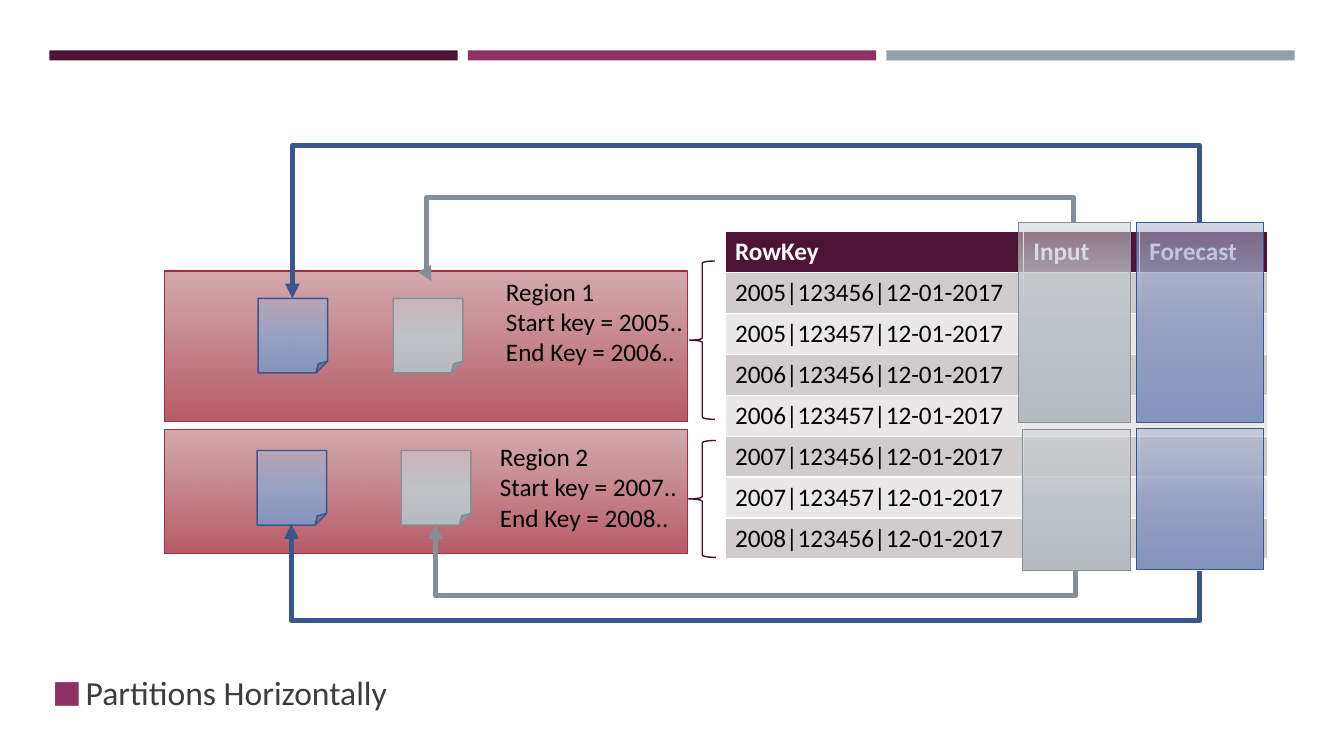
from lxml import etree
from pptx import Presentation
from pptx.dml.color import RGBColor
from pptx.enum.shapes import MSO_CONNECTOR, MSO_SHAPE
from pptx.enum.text import MSO_ANCHOR, MSO_AUTO_SIZE
from pptx.oxml import parse_xml
from pptx.oxml.ns import nsdecls, qn
from pptx.util import Inches, Pt

RECT, BRACE, PAGE = MSO_SHAPE.RECTANGLE, MSO_SHAPE.LEFT_BRACE, MSO_SHAPE.FOLDED_CORNER
ELBOW = MSO_CONNECTOR.ELBOW
TOP, NO_FIT = MSO_ANCHOR.TOP, MSO_AUTO_SIZE.NONE

FONT = "Calibri"
PLUM, MAGENTA, SILVER = "4D1434", "903163", "969FA7"
BANDS = ["D0CCCE", "E9E7E8"]
BULLET_TEXT = "Partitions Horizontally"

HEADERS = ["RowKey", "Input", "Forecast"]
ROW_KEYS = [
    "2005|123456|12-01-2017", "2005|123457|12-01-2017",
    "2006|123456|12-01-2017", "2006|123457|12-01-2017",
    "2007|123456|12-01-2017", "2007|123457|12-01-2017",
    "2008|123456|12-01-2017",
]
COLUMN_WIDTHS = [2.96, 1.15, 1.27]
TABLE_LEFT, TABLE_TOP, ROW_HEIGHT = 7.19, 2.3, 0.405

# gradient stops are (position %, colour, opacity %)
RED = {"line": "A02D44", "stops": [(0, "CF9FA4", 90), (100, "B75C68", 100)]}
GREY = {"line": "858F99",
        "stops": [(0, "CACED2", 50), (50, "BFC4C8", 100), (100, "B6BCC2", 100)]}
BLUE = {"line": "3A578D",
        "stops": [(0, "A4AFCE", 50), (50, "98A3C4", 100), (100, "8594BE", 100)]}

PAGE_SIZE = (0.69, 0.74)
REGIONS = [
    {"lines": ["Region 1", "Start key = 2005..", "End Key = 2006.."],
     "label": (4.92, 2.69), "box": (1.63, 2.69, 5.19, 1.49),
     "brace": (6.84, 2.59, 0.25, 1.57),
     "pages": [((2.56, 2.96), BLUE), ((3.9, 2.96), GREY)],
     "columns": [((10.1, 2.21, 1.11, 1.98), GREY), ((11.27, 2.21, 1.26, 1.98), BLUE)]},
    {"lines": ["Region 2", "Start key = 2007..", "End Key = 2008.."],
     "label": (4.86, 4.33), "box": (1.63, 4.26, 5.19, 1.23),
     "brace": (6.83, 4.37, 0.27, 1.16),
     "pages": [((2.55, 4.47), BLUE), ((3.98, 4.47), GREY)],
     "columns": [((10.14, 4.26, 1.07, 1.4), GREY), ((11.27, 4.25, 1.26, 1.4), BLUE)]},
]
# start, end, height of the long run, x of the last drop (None: at the end), colours
ROUTES = [
    ((10.65, 2.21), (4.28, 2.79), 1.96, 4.23, GREY),
    ((11.9, 2.21), (2.9, 2.96), 1.44, None, BLUE),
    ((10.67, 5.66), (4.32, 5.2), 5.91, None, GREY),
    ((11.9, 5.66), (2.89, 5.2), 6.16, None, BLUE),
]


def rgb(code):
    return RGBColor.from_string(code)


def add_run(p, text, size, color, bold=False):
    r = p.add_run()
    r.text = text
    r.font.name, r.font.size, r.font.bold = FONT, Pt(size), bold
    r.font.color.rgb = rgb(color)


def add_box(kind, box, line=None, fill=None):
    sp = slide.shapes.add_shape(kind, *map(Inches, box))
    sp.shadow.inherit = False
    if fill:
        sp.fill.solid()
        sp.fill.fore_color.rgb = rgb(fill)
    else:
        sp.fill.background()
    if line:
        sp.line.color.rgb, sp.line.width = rgb(line), Pt(1)
    else:
        sp.line.fill.background()
    return sp


def add_gradient_box(kind, box, style):
    """Shape shaded from top to bottom with partly transparent stops."""
    sp = add_box(kind, box, style["line"])
    stops = "".join(
        f'<a:gs pos="{pos * 1000}"><a:srgbClr val="{color}">'
        f'<a:alpha val="{opacity * 1000}"/></a:srgbClr></a:gs>'
        for pos, color, opacity in style["stops"])
    grad = parse_xml(f'<a:gradFill {nsdecls("a")} rotWithShape="1"><a:gsLst>{stops}</a:gsLst>'
                     '<a:lin ang="5400000" scaled="0"/></a:gradFill>')
    spPr = sp._element.spPr
    spPr.replace(spPr.find(qn("a:noFill")), grad)


def add_route(start, end, run_y, drop_x, style):
    """Elbow arrow that leaves vertically: a sideways elbow turned a quarter."""
    (x1, y1), (x2, y2) = start, end
    down = y2 > y1
    across, along = x1 - x2, abs(y2 - y1)
    mid_x, mid_y = (x1 + x2) / 2, (y1 + y2) / 2
    left, right = mid_x - along / 2, mid_x + along / 2
    top, bottom = mid_y - across / 2, mid_y + across / 2
    begin_y, end_y = (bottom, top) if down else (top, bottom)
    line = slide.shapes.add_connector(ELBOW, *map(Inches, (right, begin_y, left, end_y)))
    line.line.color.rgb, line.line.width = rgb(style["line"]), Pt(3.5)
    spPr = line._element.spPr
    spPr.find(qn("a:xfrm")).set("rot", str((270 if down else 90) * 60000))
    bends = [(run_y - y1) / (y2 - y1)]
    if drop_x is not None:
        bends.append((x1 - drop_x) / across)
    geom = spPr.find(qn("a:prstGeom"))
    geom.set("prst", f"bentConnector{len(bends) + 2}")
    guides = geom.find(qn("a:avLst"))
    if guides is None:
        guides = etree.SubElement(geom, qn("a:avLst"))
    for i, bend in enumerate(bends, 1):
        etree.SubElement(guides, qn("a:gd"), name=f"adj{i}", fmla=f"val {round(bend * 100000)}")
    etree.SubElement(spPr.find(qn("a:ln")), qn("a:tailEnd"), type="triangle")
    etree.SubElement(spPr, qn("a:effectLst"))


prs = Presentation()
prs.slide_width, prs.slide_height = Inches(13.33), Inches(7.5)
slide = prs.slides.add_slide(prs.slide_layouts[1])
title = slide.shapes.title._element
title.getparent().remove(title)

for i, color in enumerate([PLUM, MAGENTA, SILVER]):
    add_box(RECT, (0.49 + i * 4.15, 0.5, 4.05, 0.1), fill=color)

body = slide.placeholders[1]
body.left, body.top, body.width, body.height = map(Inches, (0.42, 6.67, 3.81, 0.68))
tf = body.text_frame
tf.auto_size, tf.vertical_anchor, tf.margin_top = NO_FIT, TOP, 0
p = tf.paragraphs[0]
pPr = p._p.get_or_add_pPr()
pPr.set("marL", str(Inches(0.33)))
pPr.set("indent", str(-Inches(0.33)))
color = etree.SubElement(pPr, qn("a:buClr"))
etree.SubElement(color, qn("a:srgbClr"), val=MAGENTA)
etree.SubElement(pPr, qn("a:buSzPct"), val="92000")
etree.SubElement(pPr, qn("a:buFont"), typeface=FONT)
etree.SubElement(pPr, qn("a:buChar"), char="■")
p.space_before = Pt(0)
add_run(p, BULLET_TEXT, 24, "3D3D3D")

for region in REGIONS:
    add_gradient_box(RECT, region["box"], RED)

rows = [HEADERS] + [[key, "", ""] for key in ROW_KEYS]
table = slide.shapes.add_table(
    len(rows), len(HEADERS), Inches(TABLE_LEFT), Inches(TABLE_TOP),
    Inches(sum(COLUMN_WIDTHS)), Inches(ROW_HEIGHT * len(rows))).table
for column, width in zip(table.columns, COLUMN_WIDTHS):
    column.width = Inches(width)
for i, row in enumerate(rows):
    head = i == 0
    for j, text in enumerate(row):
        cell = table.cell(i, j)
        cell.fill.solid()
        cell.fill.fore_color.rgb = rgb(PLUM if head else BANDS[(i - 1) % 2])
        if text:
            add_run(cell.text_frame.paragraphs[0], text, 18,
                    "FFFFFF" if head else "000000", head)

for region in REGIONS:
    add_box(BRACE, region["brace"], "45122F")
    tf = slide.shapes.add_textbox(*map(Inches, region["label"] + (1.97, 1.01))).text_frame
    tf.word_wrap = False
    for i, text in enumerate(region["lines"]):
        p = tf.add_paragraph() if i else tf.paragraphs[0]
        add_run(p, text, 18, "000000")
    for corner, style in region["pages"]:
        add_gradient_box(PAGE, corner + PAGE_SIZE, style)
    for box, style in region["columns"]:
        add_gradient_box(RECT, box, style)

for route in ROUTES:
    add_route(*route)

prs.save("out.pptx")
